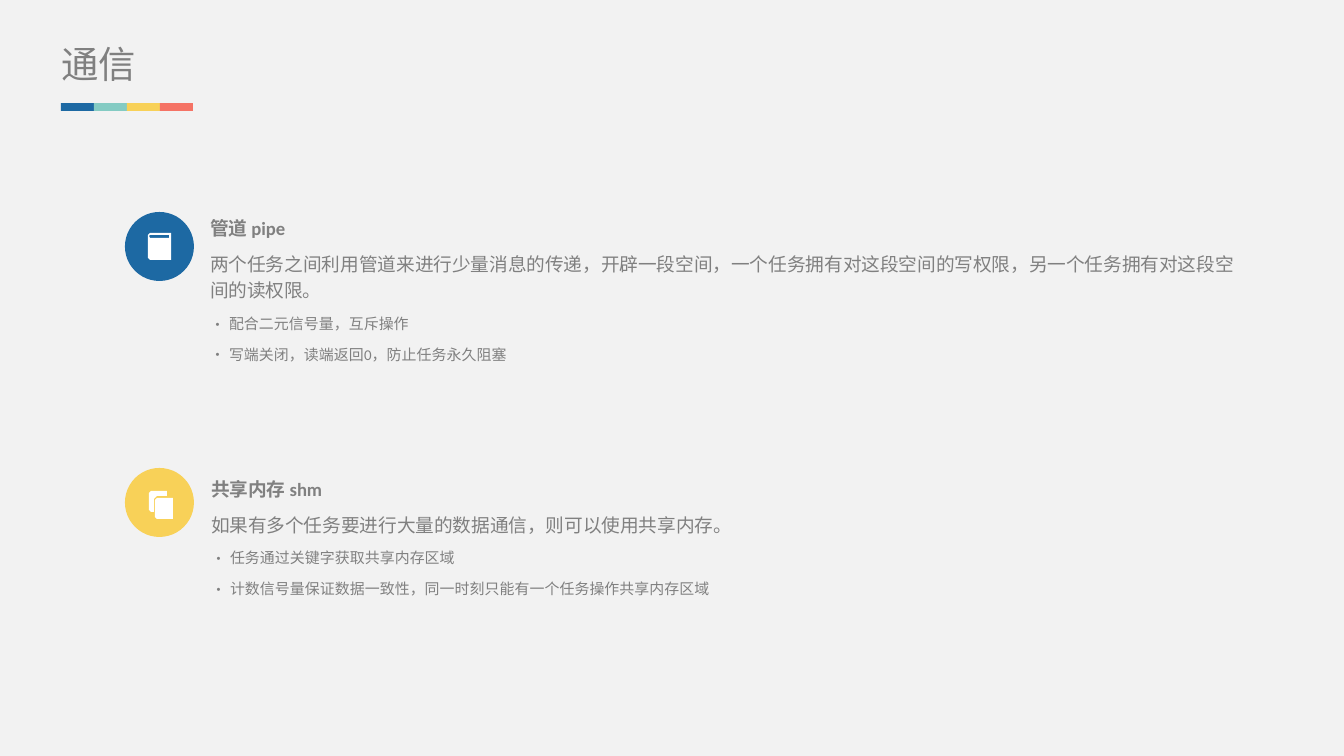
from lxml.etree import SubElement
from pptx import Presentation
from pptx.dml.color import RGBColor
from pptx.enum.shapes import MSO_SHAPE
from pptx.enum.text import MSO_ANCHOR, MSO_AUTO_SIZE, PP_ALIGN
from pptx.oxml.ns import qn
from pptx.util import Pt

SCALE = 914400 / 134.4  # EMU in one px
COLORS = {
    "back": "F2F2F2", "text": "808080", "white": "FFFFFF", "blue": "1D69A3",
    "teal": "84CBC3", "yellow": "F8D158", "red": "F57365",
}
FRAME = {
    "margin_left": 0, "margin_right": 0, "margin_top": 0, "margin_bottom": 0,
    "word_wrap": True, "auto_size": MSO_AUTO_SIZE.NONE,
    "vertical_anchor": MSO_ANCHOR.TOP,
}
BODY = {"alignment": PP_ALIGN.JUSTIFY, "line_spacing": 1.2,
        "space_before": Pt(5)}
LEFT = {"alignment": PP_ALIGN.LEFT}
CJK = "Noto Sans CJK SC"
TITLE = {"size": Pt(20), "name": CJK, "bold": False}
HEAD = {"size": Pt(10), "name": "Calibri", "bold": True}
PLAIN = {**HEAD, "bold": False}
POINT = {**PLAIN, "size": Pt(8)}
INDENT = 19

BOOK = [
    [(150, 233), (171, 233), (171, 260), (150, 260), (148, 258), (148, 235)],
    [(150, 235), (149, 236), (150, 238), (169, 238), (169, 235)],
]
SHEETS = [
    [(151, 491), (167, 491), (167, 496), (157, 496), (154, 499), (154, 512),
     (151, 512), (149, 510), (149, 493)],
    [(157, 498), (173, 498), (173, 519), (157, 519), (155, 517), (155, 500)],
]


def px(n):
    return round(n * SCALE)


def style(item, values):
    for key, value in values.items():
        setattr(item, key, value)


class Deck:
    """Holds the style and the current slide."""

    def __init__(self, wide, high):
        self.file = Presentation()
        self.file.slide_width, self.file.slide_height = px(wide), px(high)
        self.slide = self.file.slides.add_slide(self.file.slide_layouts[5])
        self.shapes = self.slide.shapes
        self.paint(self.slide.background.fill, "back")

    def paint(self, fill, color):
        fill.solid()
        fill.fore_color.rgb = RGBColor.from_string(COLORS[color])

    def finish(self, shape, color):
        self.paint(shape.fill, color)
        shape.line.fill.background()
        shape.shadow.inherit = False

    def shape(self, kind, box, color):
        self.finish(self.shapes.add_shape(kind, *map(px, box)), color)

    def icon(self, paths):
        """Draw closed outlines as one white shape; inner ones are holes."""
        build = self.shapes.build_freeform(*paths[0][0], scale=SCALE)
        for i, points in enumerate(paths):
            if i:
                build.move_to(*points[0])
            build.add_line_segments(points[1:], close=True)
        self.finish(build.convert_to_shape(), "white")

    def fill_text(self, frame, lines, layout):
        style(frame, FRAME)
        for i, (words, font) in enumerate(lines):
            para = frame.paragraphs[0] if i == 0 else frame.add_paragraph()
            style(para, layout)
            run = para.add_run()
            run.text = words
            style(run.font, font)
            run.font.color.rgb = RGBColor.from_string(COLORS["text"])
            SubElement(run.font._element, qn("a:ea"), typeface=CJK)
            if font is POINT:
                self.bullet(para)

    def bullet(self, para):
        props = para._p.get_or_add_pPr()
        props.set("marL", str(px(INDENT)))
        props.set("indent", str(-px(INDENT)))
        SubElement(props, qn("a:buFont"), typeface=CJK)
        SubElement(props, qn("a:buChar"), char="•")

    def title(self, words, box):
        holder = self.shapes.title
        names = ("left", "top", "width", "height")
        style(holder, dict(zip(names, map(px, box))))
        self.fill_text(holder.text_frame, [(words, TITLE)], LEFT)

    def text(self, box, lines):
        frame = self.shapes.add_textbox(*map(px, box)).text_frame
        self.fill_text(frame, lines, BODY)


def main():
    deck = Deck(1344, 756)
    deck.title("通信", (61, 41, 409, 45))
    for i, color in enumerate(("blue", "teal", "yellow", "red")):
        deck.shape(MSO_SHAPE.RECTANGLE, (61 + 33 * i, 103, 33, 8), color)

    for top, color, paths in ((212, "blue", BOOK), (468, "yellow", SHEETS)):
        deck.shape(MSO_SHAPE.OVAL, (125, top, 69, 69), color)
        deck.icon(paths)

    deck.text((210, 212, 413, 26), [("管道 pipe", HEAD)])
    deck.text((210, 248, 1023, 117), [
        ("两个任务之间利用管道来进行少量消息的传递，开辟一段空间，"
         "一个任务拥有对这段空间的写权限，另一个任务拥有对这段空间的读权限。", PLAIN),
        ("配合二元信号量，互斥操作", POINT),
        ("写端关闭，读端返回0，防止任务永久阻塞", POINT),
    ])
    deck.text((211, 473, 1025, 157), [
        ("共享内存 shm", HEAD),
        ("如果有多个任务要进行大量的数据通信，则可以使用共享内存。", PLAIN),
        ("任务通过关键字获取共享内存区域", POINT),
        ("计数信号量保证数据一致性，同一时刻只能有一个任务操作共享内存区域", POINT),
    ])
    deck.file.save("out.pptx")


if __name__ == "__main__":
    main()
